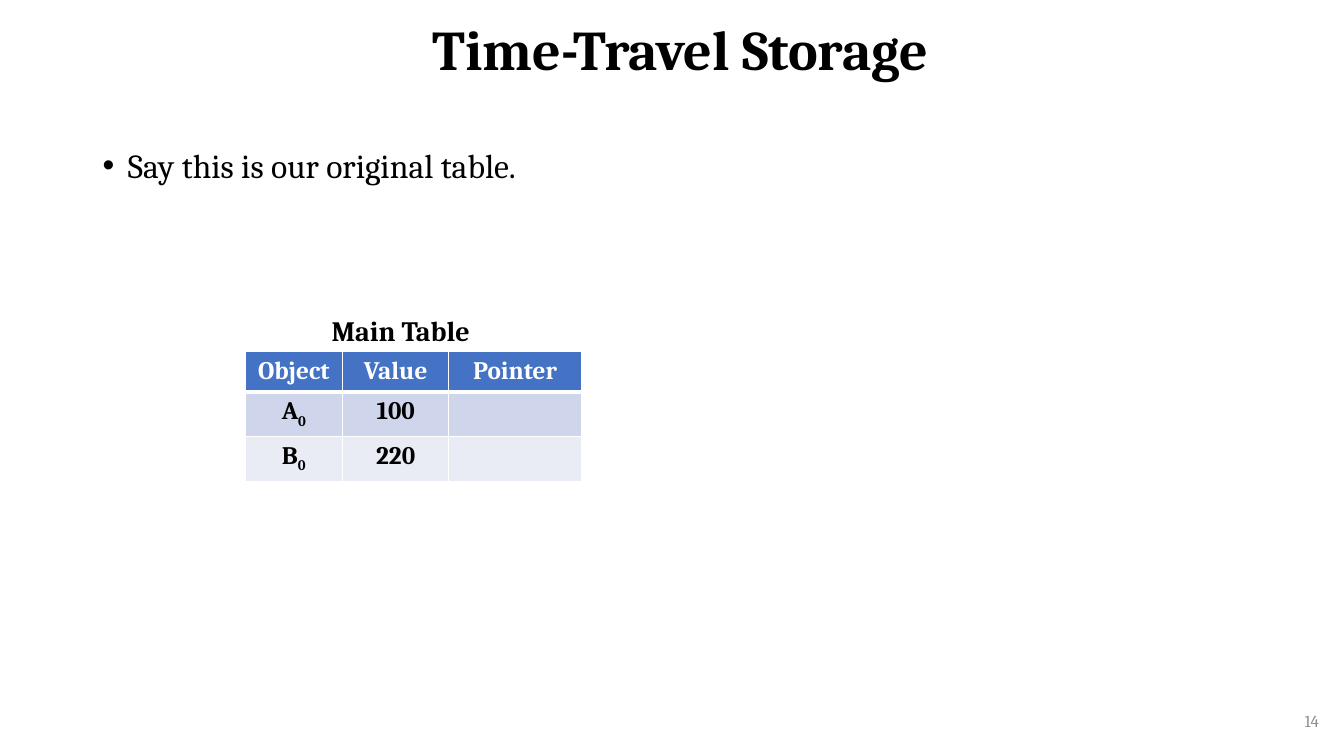
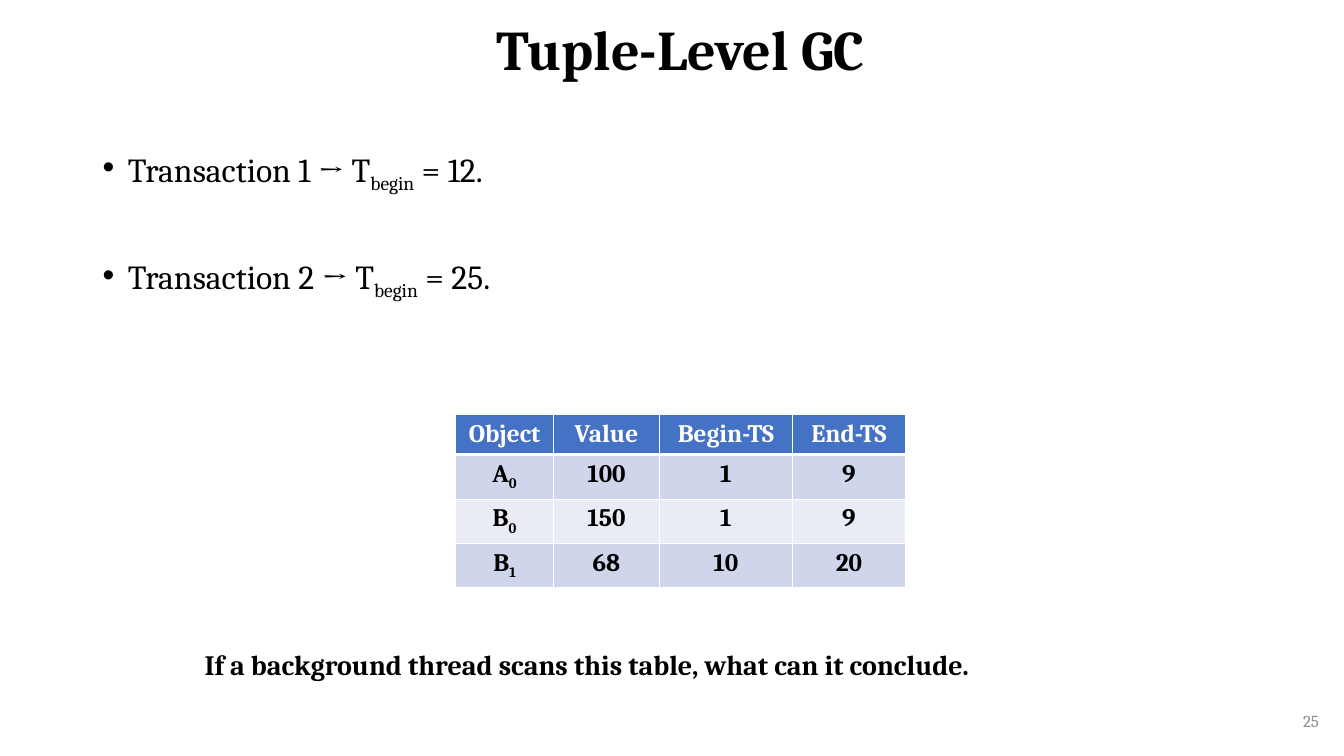
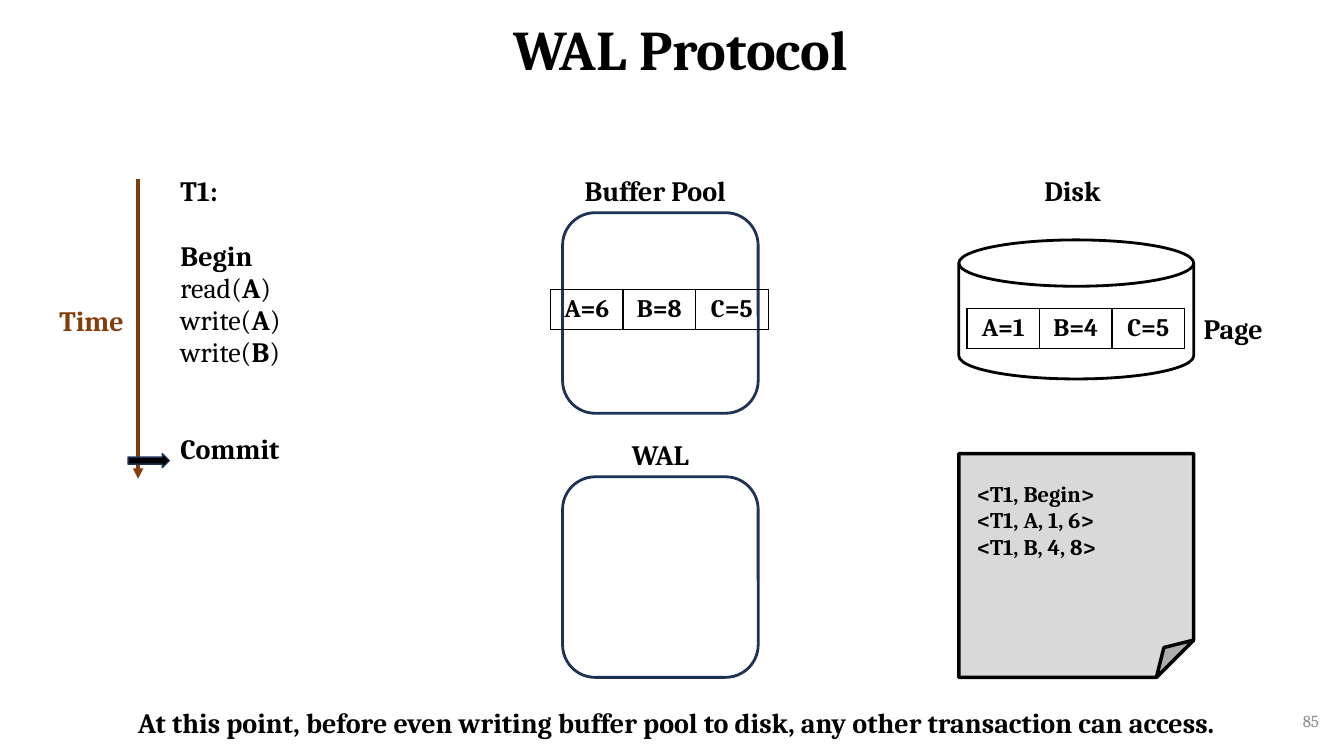
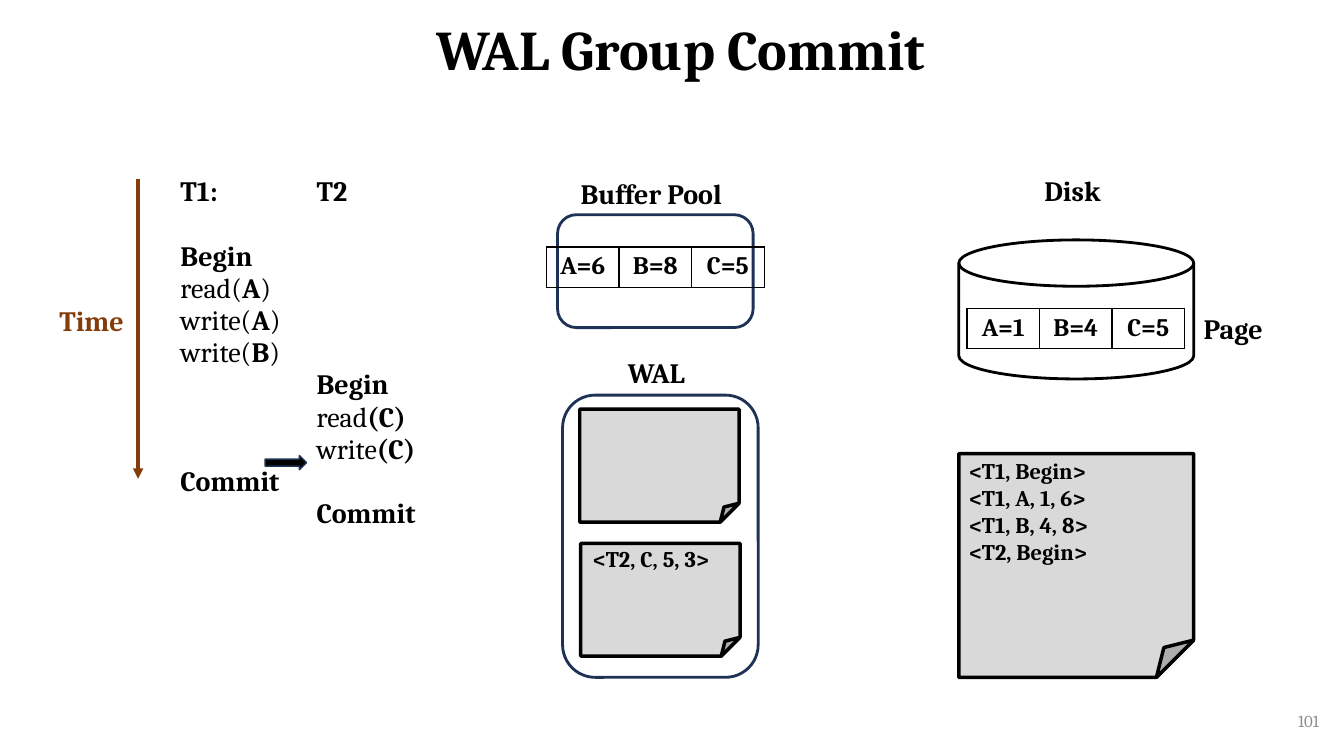
from lxml.etree import SubElement
from pptx import Presentation
from pptx.dml.color import RGBColor
from pptx.enum.shapes import MSO_CONNECTOR, MSO_SHAPE
from pptx.enum.text import MSO_ANCHOR, MSO_AUTO_SIZE, PP_ALIGN
from pptx.oxml.ns import qn
from pptx.util import Pt

PX = 9144  # 100 px to the inch
BLACK = RGBColor(0x00, 0x00, 0x00)
WHITE = RGBColor(0xFF, 0xFF, 0xFF)
GRAY = RGBColor(0x8C, 0x8C, 0x8C)
BLUE = RGBColor(0x44, 0x72, 0xC4)
BANDS = RGBColor(0xCF, 0xD5, 0xEA), RGBColor(0xE9, 0xEB, 0xF5)
NAVY = RGBColor(0x1E, 0x32, 0x56)
BROWN = RGBColor(0x84, 0x3C, 0x0B)
PAPER = RGBColor(0xD9, 0xD9, 0xD9)
NO_GRID_STYLE = "{2D5ABB26-0587-4C30-8999-92F81FD0307C}"
LINE = 23  # points taken by one line of a transaction

TITLE = {"size": Pt(40), "bold": True}
NUMBER = {"size": Pt(12), "bold": False}
BULLET = {"size": Pt(24), "bold": False}
LABEL = {"size": Pt(20), "bold": True}
STEP = {"size": Pt(20), "bold": False}
LOG = {"size": Pt(16), "bold": True}
CELL = {"size": Pt(18), "bold": True}


def write(frame, lines, style, color=BLACK, align=PP_ALIGN.LEFT, spacing=None):
    """Lines are text or (points before, text); * flips bold, _ sets subscript."""
    for index, line in enumerate(lines):
        before, text = line if isinstance(line, tuple) else (0, line)
        paragraph = frame.paragraphs[0] if index == 0 else frame.add_paragraph()
        paragraph.alignment = align
        paragraph.space_before = Pt(before)
        if spacing:
            paragraph.line_spacing = spacing
        for flips, piece in enumerate(text.split("*")):
            for subs, part in enumerate(piece.split("_")):
                if not part:
                    continue
                run = paragraph.add_run()
                run.text = part
                font = run.font
                for name, value in style.items():
                    setattr(font, name, value)
                font.name = "Cambria"
                font.color.rgb = color
                if flips % 2:
                    font.bold = not style["bold"]
                if subs % 2:
                    run._r.get_or_add_rPr().set("baseline", "-25000")


def add_grid(slide, left, top, widths, height, rows, border=None, banded=False,
             style=CELL, align=PP_ALIGN.CENTER):
    """Add a table whose cells are lists of lines."""
    table = slide.shapes.add_table(
        len(rows), len(widths), left * PX, top * PX,
        sum(widths) * PX, height * len(rows) * PX).table
    table.first_row = table.horz_banding = False
    table._tbl.tblPr.find(qn("a:tableStyleId")).text = NO_GRID_STYLE
    for column, width in zip(table.columns, widths):
        column.width = width * PX
    for r, row in enumerate(rows):
        table.rows[r].height = height * PX
        for c, lines in enumerate(row):
            cell = table.cell(r, c)
            header = banded and r == 0
            write(cell.text_frame, lines, style, WHITE if header else BLACK, align)
            if border is not None:
                properties = cell._tc.get_or_add_tcPr()
                for side in ("lnL", "lnR", "lnT", "lnB"):
                    thick = banded and (r, side) in ((0, "lnB"), (1, "lnT"))
                    edge = SubElement(properties, qn("a:" + side),
                                      w=str(Pt(3 if thick else 1)))
                    fill = SubElement(edge, qn("a:solidFill"))
                    SubElement(fill, qn("a:srgbClr"), val=str(border))
            if banded:
                cell.fill.solid()
                cell.fill.fore_color.rgb = BLUE if header else BANDS[(r - 1) % 2]
            else:
                cell.fill.background()


POOL = MSO_SHAPE.ROUNDED_RECTANGLE, None, NAVY, 2
SHEET = MSO_SHAPE.FOLDED_CORNER, PAPER, BLACK, 2.5
POINTER = MSO_SHAPE.RIGHT_ARROW, BLACK, NAVY, 1
DISK = MSO_SHAPE.FLOWCHART_MAGNETIC_DISK, None, BLACK, 2

T1_STEPS = ["*T1:*", (LINE, "*Begin*"), "read(*A*)", "write(*A*)", "write(*B*)"]
T2_STEPS = ["*T2*", (LINE * 5, "*Begin*"), "read*(C)*", "write*(C)*", (LINE, "*Commit*")]
T1_LOG = ["<T1, Begin>", "<T1, A, 1, 6>", "<T1, B, 4, 8>"]

SLIDES = [
    {
        "title": "Time-Travel Storage", "number": 14,
        "bullets": [(10, "Say this is our original table.")],
        "versions": (243, 349, [["Object", "Value", "Pointer"],
                                ["A_0_", "100", ""],
                                ["B_0_", "220", ""]]),
        "labels": [(319, 306, 166, "Main Table")],
    },
    {
        "title": "Tuple-Level GC", "number": 25,
        "bullets": [(10, "Transaction 1 → T_begin_ = 12."),
                    (47, "Transaction 2 → T_begin_ = 25.")],
        "versions": (452, 411, [["Object", "Value", "Begin-TS", "End-TS"],
                                ["A_0_", "100", "1", "9"],
                                ["B_0_", "150", "1", "9"],
                                ["B_1_", "68", "10", "20"]]),
        "labels": [(193, 637, 792,
                    "If a background thread scans this table, what can it conclude.")],
    },
    {
        "title": "WAL Protocol", "number": 85,
        "labels": [(570, 167, 167, "Buffer Pool"), (617, 429, 84, "WAL"),
                   (127, 695, 1115, "At this point, before even writing buffer pool "
                                    "to disk, any other transaction can access.")],
        "shapes": [(558, 211, 194, 199, POOL), (558, 473, 194, 199, POOL),
                   (127, 450, 41, 14, POINTER)],
        "buffered": (546, 287),
        "step_widths": [157],
        "steps": [T1_STEPS + [(LINE * 2, "*Commit*")]],
        "logs": [(959, 471, 142, T1_LOG)],
    },
    {
        "title": "WAL Group Commit", "number": 101,
        "labels": [(566, 170, 167, "Buffer Pool"), (613, 348, 84, "WAL")],
        "shapes": [(553, 213, 194, 112, POOL), (558, 392, 194, 280, POOL),
                   (575, 406, 158, 112, SHEET), (576, 539, 158, 112, SHEET),
                   (263, 452, 41, 14, POINTER)],
        "buffered": (542, 245),
        "step_widths": [135, 135],
        "steps": [T1_STEPS + [(LINE * 3, "*Commit*")], T2_STEPS],
        "logs": [(578, 536, 141, ["<T2, C, 5, 3>"]),
                 (951, 449, 142, T1_LOG + ["<T2, Begin>"])],
    },
]

deck = Presentation()
deck.slide_width, deck.slide_height = 1333 * PX, 750 * PX

for content in SLIDES:
    slide = deck.slides.add_slide(deck.slide_layouts[6])
    shapes = slide.shapes

    for box, text, style, color, align, spacing in (
            ((1018, 695, 300, 40), str(content["number"]), NUMBER, GRAY, PP_ALIGN.RIGHT, None),
            ((100, 2, 1150, 99), content["title"], TITLE, BLACK, PP_ALIGN.CENTER, 0.9)):
        frame = shapes.add_textbox(*(v * PX for v in box)).text_frame
        frame.word_wrap = True
        frame.vertical_anchor = MSO_ANCHOR.MIDDLE
        write(frame, [text], style, color, align, spacing)

    if "bullets" in content:
        frame = shapes.add_textbox(92 * PX, 143 * PX, 1132 * PX, 163 * PX).text_frame
        frame.word_wrap = True
        write(frame, content["bullets"], BULLET, spacing=0.9)
        for paragraph in frame.paragraphs:
            properties = paragraph._p.get_or_add_pPr()
            properties.set("marL", str(25 * PX))
            properties.set("indent", str(-25 * PX))
            SubElement(properties, qn("a:buFont"), typeface="Arial")
            SubElement(properties, qn("a:buChar"), char="•")

    if "versions" in content:
        left, top, rows = content["versions"]
        widths = [97, 105, 132, 112][:len(rows[0])]
        add_grid(slide, left, top, widths, 36,
                 [[[text] for text in row] for row in rows], WHITE, banded=True)

    labels = [(*label, BLACK) for label in content["labels"]]
    outlines = []
    if "steps" in content:
        labels += [(1026, 167, 82, "Disk", BLACK), (1184, 304, 81, "Page", BLACK),
                   (49, 296, 89, "Time", BROWN)]
        outlines = [(951, 238, 233, 138, DISK), (951, 450, 233, 222, SHEET)]
        time = shapes.add_connector(MSO_CONNECTOR.STRAIGHT,
                                    137 * PX, 178 * PX, 137 * PX, 475 * PX)
        time.line.color.rgb = BROWN
        time.line.width = Pt(2.5)
        SubElement(time.line._get_or_add_ln(), qn("a:tailEnd"), type="triangle")
        SubElement(time._element.spPr, qn("a:effectLst"))

    for left, top, width, height, (kind, fill, edge, weight) in outlines + content.get("shapes", []):
        outline = shapes.add_shape(kind, left * PX, top * PX, width * PX, height * PX)
        outline.shadow.inherit = False
        if fill is None:
            outline.fill.background()
        else:
            outline.fill.solid()
            outline.fill.fore_color.rgb = fill
        outline.line.color.rgb = edge
        outline.line.width = Pt(weight)

    if "steps" in content:
        add_grid(slide, 169, 170, content["step_widths"], 336, [content["steps"]],
                 style=STEP, align=PP_ALIGN.LEFT)
        for (left, top), record in (((959, 306), ["A=1", "B=4", "C=5"]),
                                    (content["buffered"], ["A=6", "B=8", "C=5"])):
            add_grid(slide, left, top, [72] * 3, 36, [[[text] for text in record]], BLACK)

    notes = [(left, top, width, [text], LABEL, color)
             for left, top, width, text, color in labels]
    notes += [(*log, LOG, BLACK) for log in content.get("logs", [])]
    for left, top, width, lines, style, color in notes:
        height = 44 if style is LABEL else 10 + 27 * len(lines)
        frame = shapes.add_textbox(left * PX, top * PX, width * PX, height * PX).text_frame
        frame.word_wrap = False
        frame.auto_size = MSO_AUTO_SIZE.SHAPE_TO_FIT_TEXT
        write(frame, lines, style, color)

deck.save("out.pptx")
